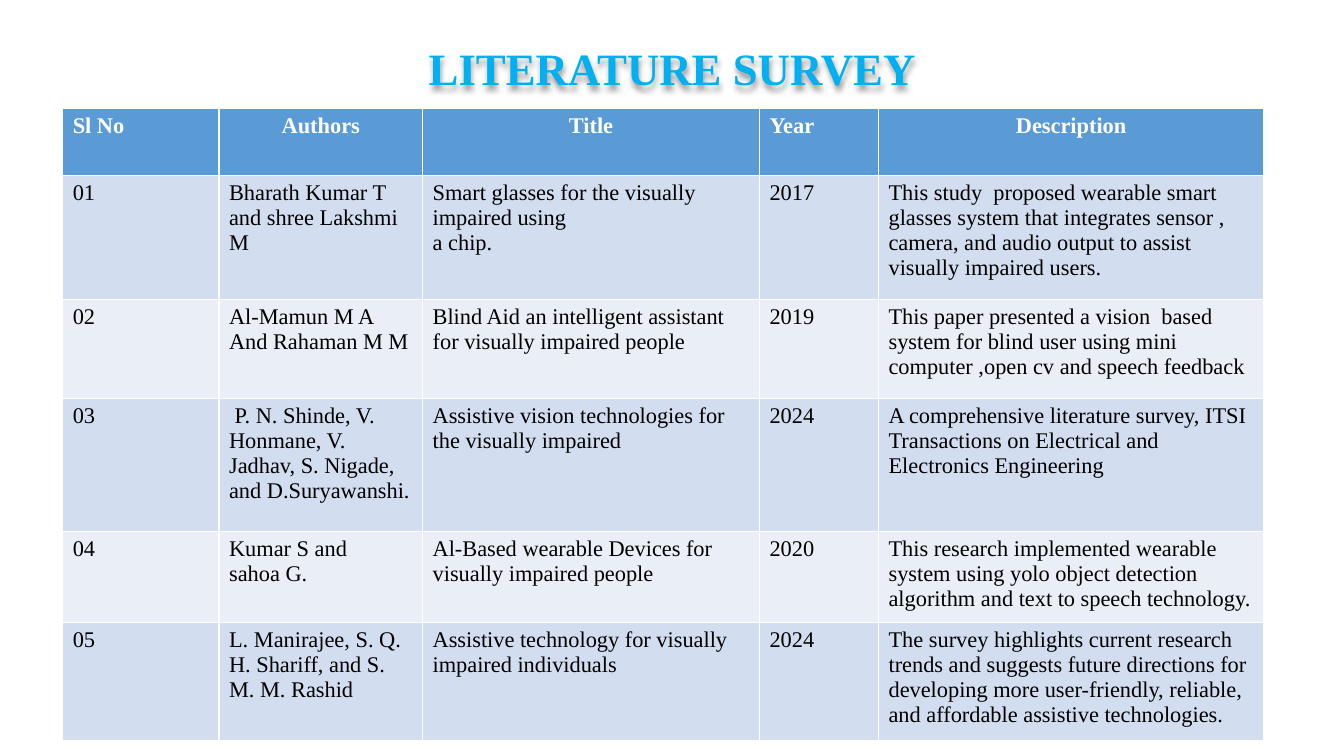
import lxml.etree
import pptx
import pptx.dml.color
import pptx.enum.text
import pptx.oxml
import pptx.oxml.ns
import pptx.util
from pptx.util import Cm

RGBColor = pptx.dml.color.RGBColor
PP_ALIGN = pptx.enum.text.PP_ALIGN

SKY = RGBColor(0x00, 0xB0, 0xF0)
HEADER_BLUE = RGBColor(0x5B, 0x9B, 0xD5)
DARK_BAND = RGBColor(0xD2, 0xDE, 0xEF)
LIGHT_BAND = RGBColor(0xEA, 0xEF, 0xF7)
WHITE = RGBColor(0xFF, 0xFF, 0xFF)
BLACK = RGBColor(0x00, 0x00, 0x00)
FONT = "Times New Roman"

COLUMN_WIDTHS = [3.94, 5.13, 8.49, 3.0, 9.71]
ROW_HEIGHTS = [1.7, 3.12, 2.5, 3.35, 2.29, 2.31]
CENTRED_HEADINGS = ("Authors", "Title", "Description")
SURVEY = [
    ("Sl No", "Authors", "Title", "Year", "Description"),
    ("01", "Bharath Kumar T and shree Lakshmi M",
     "Smart glasses for the visually impaired using\na chip.", "2017",
     "This study  proposed wearable smart glasses system that integrates "
     "sensor , camera, and audio output to assist visually impaired users."),
    ("02", "Al-Mamun M A And Rahaman M M",
     "Blind Aid an intelligent assistant for visually impaired people", "2019",
     "This paper presented a vision  based system for blind user using "
     "mini computer ,open cv and speech feedback"),
    ("03", " P. N. Shinde, V. Honmane, V. Jadhav, S. Nigade, and D.Suryawanshi.",
     "Assistive vision technologies for the visually impaired", "2024",
     "A comprehensive literature survey, ITSI Transactions on Electrical and "
     "Electronics Engineering"),
    ("04", "Kumar S and\nsahoa G.",
     "Al-Based wearable Devices for visually impaired people", "2020",
     "This research implemented wearable system using yolo object detection "
     "algorithm and text to speech technology."),
    ("05", "L. Manirajee, S. Q. H. Shariff, and S. M. M. Rashid",
     "Assistive technology for visually impaired individuals", "2024",
     "The survey highlights current research trends and suggests future "
     "directions for developing more user-friendly, reliable, and affordable "
     "assistive technologies."),
]


def style_paragraph(para, size, color, bold, align):
    para.alignment = align
    para.font.name = FONT
    para.font.size = pptx.util.Pt(size)
    para.font.bold = bold
    para.font.color.rgb = color


def add_soft_shadow(shape):
    """Cast a blurred shadow downwards; on an unfilled box it falls from the text."""
    namespace = pptx.oxml.ns.nsdecls("a")
    effects = pptx.oxml.parse_xml(
        f'<a:effectLst {namespace}>'
        '<a:outerShdw blurRad="50800" dist="38100" dir="5400000" algn="t" rotWithShape="0">'
        '<a:prstClr val="black"><a:alpha val="40000"/></a:prstClr>'
        '</a:outerShdw></a:effectLst>')
    shape._element.spPr.append(effects)


def add_title(page, text):
    box = page.shapes.add_textbox(Cm(6.25), Cm(0.86), Cm(21.39), Cm(1.88))
    add_soft_shadow(box)
    frame = box.text_frame
    frame.word_wrap = True
    frame.vertical_anchor = pptx.enum.text.MSO_ANCHOR.MIDDLE
    para = frame.paragraphs[0]
    para.text = text
    para.line_spacing = 0.9
    style_paragraph(para, 32, SKY, True, PP_ALIGN.CENTER)


def fill_cell(cell, text, fill, color, bold, align):
    cell.fill.solid()
    cell.fill.fore_color.rgb = fill
    cell.text = text
    for para in cell.text_frame.paragraphs:
        style_paragraph(para, 16, color, bold, align)


def add_survey_table(page):
    frame = page.shapes.add_table(
        len(SURVEY), len(COLUMN_WIDTHS), Cm(1.58), Cm(2.73),
        Cm(sum(COLUMN_WIDTHS)), Cm(sum(ROW_HEIGHTS)))
    table = frame.table
    for column, width in zip(table.columns, COLUMN_WIDTHS):
        column.width = Cm(width)
    for row, height in zip(table.rows, ROW_HEIGHTS):
        row.height = Cm(height)

    for heading, cell in zip(SURVEY[0], table.rows[0].cells):
        align = PP_ALIGN.CENTER if heading in CENTRED_HEADINGS else PP_ALIGN.LEFT
        fill_cell(cell, heading, HEADER_BLUE, WHITE, True, align)
    for number, entry in enumerate(SURVEY[1:], start=1):
        band = DARK_BAND if number % 2 else LIGHT_BAND
        for text, cell in zip(entry, table.rows[number].cells):
            fill_cell(cell, text, band, BLACK, False, PP_ALIGN.LEFT)


def main():
    deck = pptx.Presentation()
    deck.slide_width = Cm(33.87)
    deck.slide_height = Cm(19.05)
    page = deck.slides.add_slide(deck.slide_layouts[6])
    add_title(page, "LITERATURE SURVEY")
    add_survey_table(page)
    deck.save("out.pptx")


if __name__ == "__main__":
    main()
